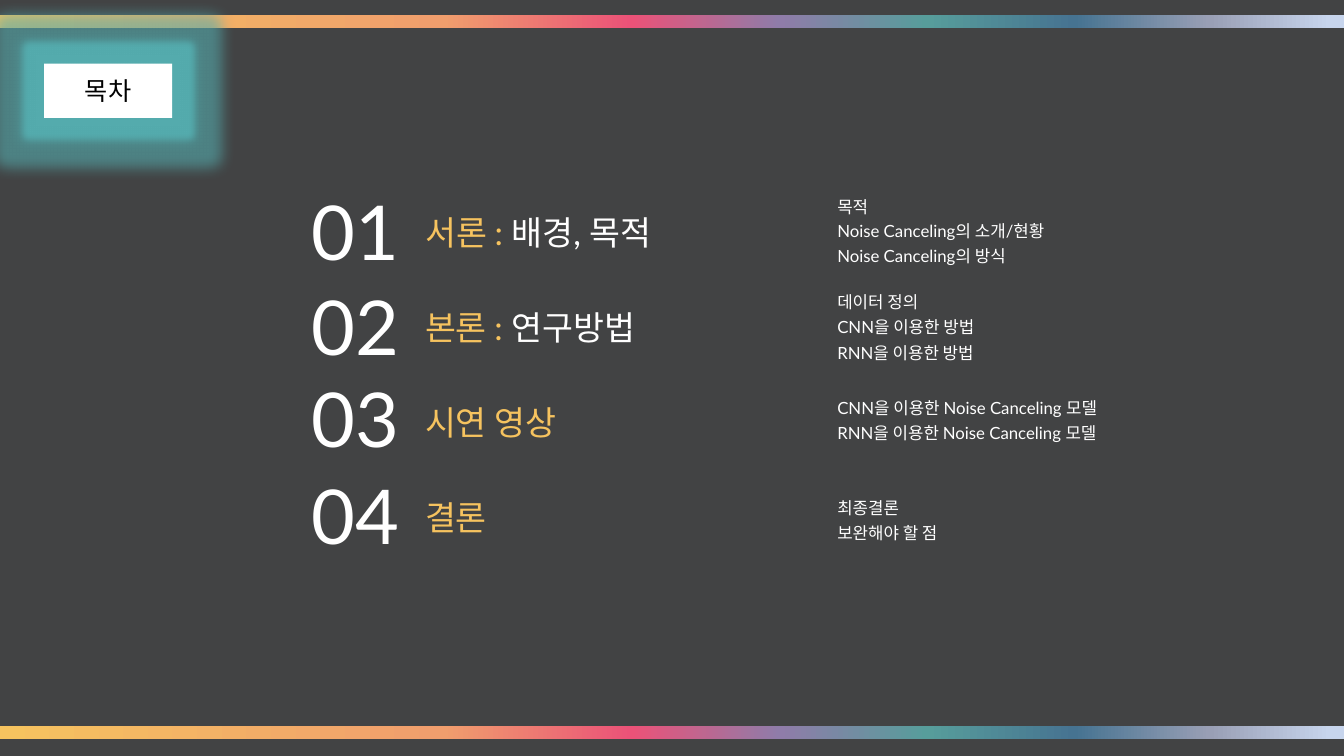
from lxml import etree
from pptx import Presentation
from pptx.dml.color import RGBColor
from pptx.enum import shapes, text
from pptx.oxml import ns
from pptx.util import Pt

DARK = RGBColor(0x42, 0x43, 0x44)
WHITE = RGBColor(0xFF, 0xFF, 0xFF)
BLACK = RGBColor(0x00, 0x00, 0x00)
GOLD = RGBColor(0xF6, 0xC3, 0x5F)
TEAL = RGBColor(0x55, 0xAC, 0xAE)
RAINBOW = [
    (0, GOLD),
    (33, RGBColor(0xF0, 0x9E, 0x6D)),
    (47, RGBColor(0xEB, 0x52, 0x78)),
    (58, RGBColor(0x8F, 0x7C, 0xA9)),
    (69, RGBColor(0x57, 0x9D, 0x9B)),
    (80, RGBColor(0x46, 0x73, 0x91)),
    (90, RGBColor(0x99, 0x9F, 0xB5)),
    (99, RGBColor(0xC7, 0xD5, 0xED)),
]
WIDTH, HEIGHT = 960, 540
LATIN, KOREAN = "Lato", "Noto Sans CJK KR"

# number, number top, title runs, details top, details step, details (text, width)
SECTIONS = [
    ("01", 128.2, [("서론 : ", GOLD), ("배경, 목적", WHITE)], 136.9, 17.6,
     [("목적", 189), ("Noise Canceling의 소개/현황", 189),
      ("Noise Canceling의 방식", 189)]),
    ("02", 196.6, [("본론 : ", GOLD), ("연구방법", WHITE)], 204.6, 18.3,
     [("데이터 정의", 189), ("CNN을 이용한 방법", 189),
      ("RNN을 이용한 방법", 189)]),
    ("03", 262.1, [("시연 영상", GOLD)], 280.7, 17.6,
     [("CNN을 이용한 Noise Canceling 모델", 228),
      ("RNN을 이용한 Noise Canceling 모델", 217)]),
    ("04", 331.2, [("결론", GOLD)], 352, 17.6,
     [("최종결론", 189), ("보완해야 할 점", 189)]),
]


def add_xml(parent, tag, **attrs):
    return etree.SubElement(parent, ns.qn(tag), attrs)


class Deck:
    def __init__(self, prs):
        self.s = prs.slides.add_slide(prs.slide_layouts[6])
        fill = self.s.background.fill
        fill.solid()
        fill.fore_color.rgb = DARK

    def rect(self, x, y, w, h, color=None):
        sp = self.s.shapes.add_shape(
            shapes.MSO_SHAPE.RECTANGLE, Pt(x), Pt(y), Pt(w), Pt(h))
        sp.shadow.inherit = False
        sp.line.fill.background()
        if color is not None:
            sp.fill.solid()
            sp.fill.fore_color.rgb = color
        return sp

    def rainbow_bar(self, y):
        sp = self.rect(0, y, WIDTH, 9.4)
        sp.fill.gradient()
        sp.fill.gradient_angle = 0
        stops = sp._element.spPr.find(".//" + ns.qn("a:gsLst"))
        for stop in list(stops):
            stops.remove(stop)
        for pos, color in RAINBOW:
            gs = add_xml(stops, "a:gs", pos=str(pos * 1000))
            add_xml(gs, "a:srgbClr", val=str(color))

    def glow(self, sp, radius, opacity):
        effects = sp._element.spPr.find(ns.qn("a:effectLst"))
        glow = add_xml(effects, "a:glow", rad=str(Pt(radius)))
        color = add_xml(glow, "a:srgbClr", val=str(TEAL))
        add_xml(color, "a:alpha", val=str(opacity * 1000))

    def add_runs(self, tf, runs, size, align, latin=LATIN):
        p = tf.paragraphs[0]
        p.alignment = align
        for words, color in runs:
            r = p.add_run()
            r.text = words
            for name, value in {"size": Pt(size), "name": latin}.items():
                setattr(r.font, name, value)
            r.font.color.rgb = color
            add_xml(r._r.get_or_add_rPr(), "a:ea", typeface=KOREAN)

    def text(self, x, y, w, h, runs, size, align=text.PP_ALIGN.LEFT):
        tf = self.s.shapes.add_textbox(Pt(x), Pt(y), Pt(w), Pt(h)).text_frame
        for name, value in {
            "word_wrap": True,
            "auto_size": text.MSO_AUTO_SIZE.SHAPE_TO_FIT_TEXT,
        }.items():
            setattr(tf, name, value)
        self.add_runs(tf, runs, size, align)

    def glowing_label(self, x, y, w, h, words):
        pad = 6
        halo = self.rect(x - pad, y - pad, w + 2 * pad, h + 2 * pad, TEAL)
        self.glow(halo, 20, 60)
        label = self.rect(x, y, w, h, WHITE)
        self.glow(label, 10, 100)
        label.text_frame.vertical_anchor = text.MSO_ANCHOR.MIDDLE
        self.add_runs(label.text_frame, [(words, BLACK)], 18,
                      text.PP_ALIGN.CENTER, KOREAN)


def main():
    prs = Presentation()
    prs.slide_width, prs.slide_height = Pt(WIDTH), Pt(HEIGHT)
    deck = Deck(prs)
    for y in (11, 518.4):
        deck.rainbow_bar(y)
    deck.glowing_label(31.5, 45.5, 91.5, 38.8, "목차")
    for i, (number, top, title, first, step, details) in enumerate(SECTIONS):
        deck.text(212.4, top, 83.5, 72.7, [(number, WHITE)], 54,
                  text.PP_ALIGN.CENTER)
        deck.text(296.6, 147.6 + 68 * i, 286 if i == 0 else 271.4, 36,
                  title, 24)
        for j, (words, width) in enumerate(details):
            deck.text(591, first + step * j, width, 21.6, [(words, WHITE)], 12)
    prs.save("out.pptx")


if __name__ == "__main__":
    main()
